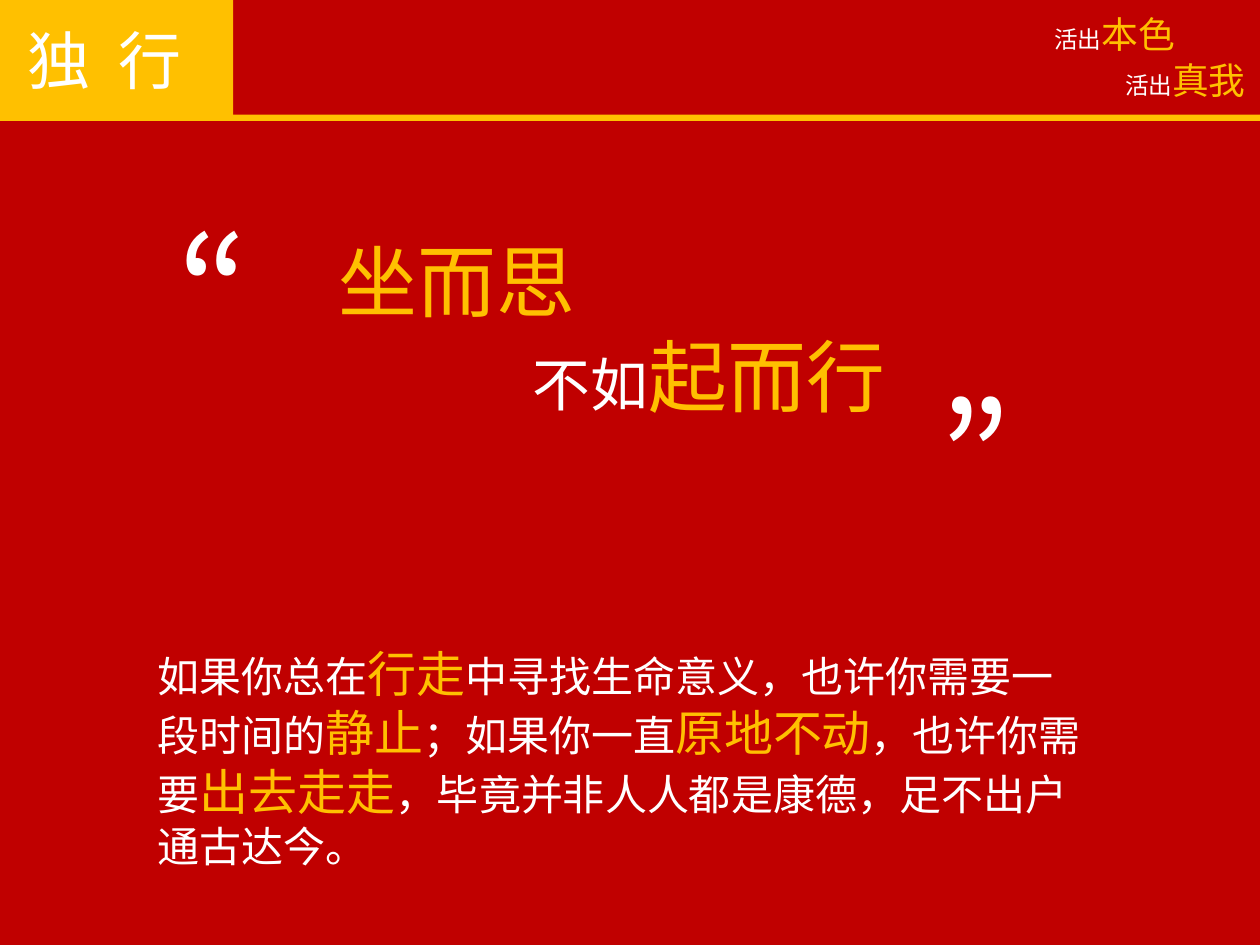
import pptx
import pptx.util
import pptx.dml.color
import pptx.enum.shapes
import pptx.enum.text
import pptx.oxml.ns
import lxml.etree

Pt = pptx.util.Pt
RED = pptx.dml.color.RGBColor(0xC0, 0x00, 0x00)
GOLD = pptx.dml.color.RGBColor(0xFF, 0xC0, 0x00)
WHITE = pptx.dml.color.RGBColor(0xFF, 0xFF, 0xFF)
SANS = "Noto Sans CJK JP"
MONO = "Courier New"


def add_text(page, place, lines, wrap=True, latin=SANS):
    box = page.shapes.add_textbox(*[Pt(length) for length in place])
    frame = box.text_frame
    frame.word_wrap = wrap
    frame.auto_size = pptx.enum.text.MSO_AUTO_SIZE.SHAPE_TO_FIT_TEXT
    for index, line in enumerate(lines):
        para = frame.add_paragraph() if index else frame.paragraphs[0]
        for words, size, color in line:
            span = para.add_run()
            span.text = words
            span.font.size = Pt(size)
            span.font.color.rgb = color
            span.font.name = latin
            east_asian = lxml.etree.SubElement(
                span.font._element, pptx.oxml.ns.qn("a:ea"))
            east_asian.set("typeface", SANS)
    return box


deck = pptx.Presentation()
deck.slide_width = Pt(720)
deck.slide_height = Pt(540)
page = deck.slides.add_slide(deck.slide_layouts[6])
page.background.fill.solid()
page.background.fill.fore_color.rgb = RED

for width, top, height in [(720, 65.5, 3.6), (133.2, 0, 66.2)]:
    band = page.shapes.add_shape(
        pptx.enum.shapes.MSO_SHAPE.RECTANGLE, 0, Pt(top), Pt(width), Pt(height))
    band.shadow.inherit = False
    band.fill.solid()
    band.fill.fore_color.rgb = GOLD
    band.line.fill.background()

title = add_text(page, (8.6, 8.6, 116, 51),
                 [[("独", 36, WHITE), (" 行", 36, WHITE)]])
first_span = title.text_frame.paragraphs[0].runs[0]
first_span.font._element.set("spc", "800")

for left, top, ending in [(595.4, 2.9, "本色"), (635.8, 29.5, "真我")]:
    add_text(page, (left, top, 84.2, 32.4),
             [[("活出", 13.5, WHITE), (ending, 21, GOLD)]], wrap=False)

motto = add_text(page, (186.5, 129.6, 477.4, 138.2),
                 [[("坐而思", 45, GOLD)],
                  [("不如", 33, WHITE), ("起而行", 45, GOLD)]])
second_para = motto.text_frame.paragraphs[1]
second_para._p.get_or_add_pPr().set("marL", str(Pt(111)))

for left, top, mark in [(94.3, 109.4, "“"), (529.9, 204.5, "”")]:
    add_text(page, (left, top, 101.5, 111.6), [[(mark, 86.2, WHITE)]], wrap=False)

passage = [
    ("如果你总在", "行走"),
    ("中寻找生命意义，也许你需要一段时间的", "静止"),
    ("；如果你一直", "原地不动"),
    ("，也许你需要", "出去走走"),
]
spans = []
for plain, stressed in passage:
    spans += [(plain, 24, WHITE), (stressed, 28, GOLD)]
spans.append(("，毕竟并非人人都是康德，足不出户通古达今。", 24, WHITE))
add_text(page, (82.8, 364.3, 545.8, 138.2), [spans], latin=MONO)

deck.save("out.pptx")
